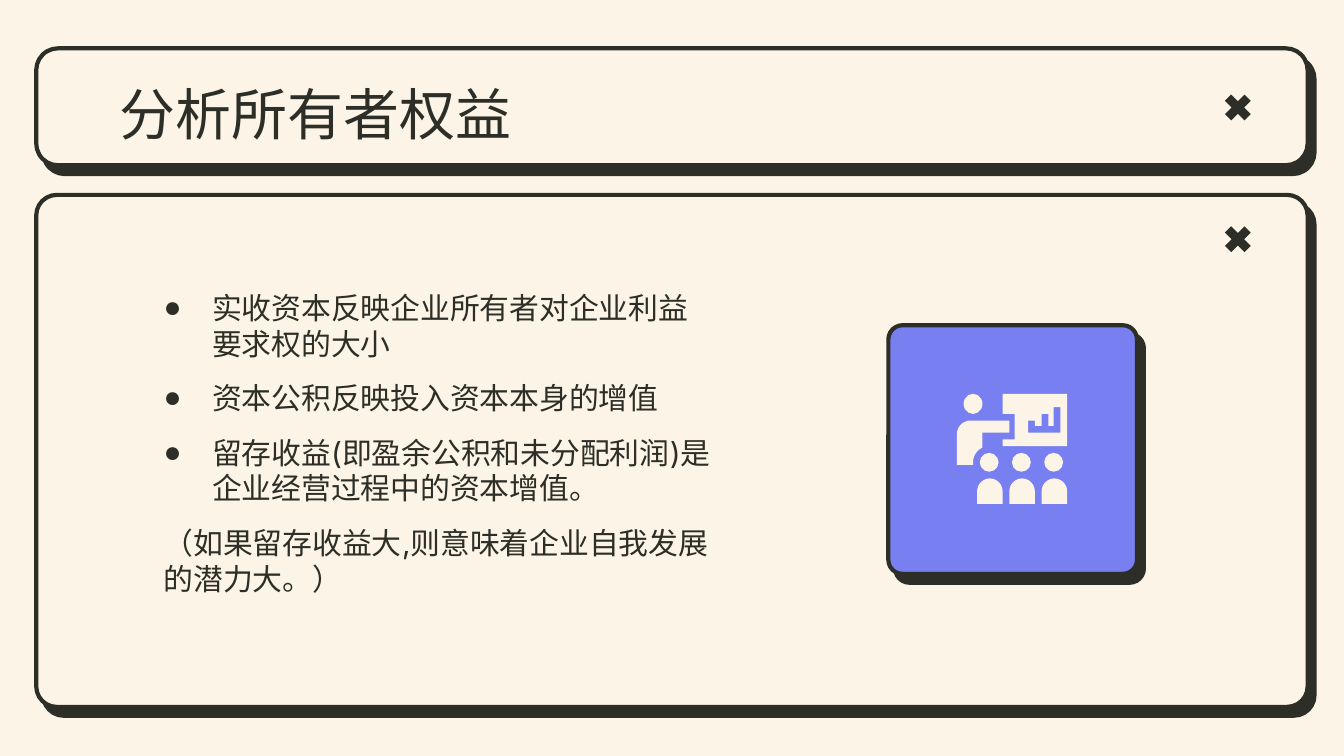
import math
from lxml import etree
from pptx import Presentation
from pptx import util as u
from pptx.dml.color import RGBColor
from pptx.enum import shapes, text
from pptx.oxml.ns import qn

Inches = u.Inches
DARK, CREAM, VIOLET = "2D2E27", "FCF4E6", "787FF0"


def paint(fmt, color):
    fmt.solid()
    fmt.fore_color.rgb = RGBColor.from_string(color)


def add_run(p, words, font, size):
    r = p.add_run()
    r.text = words
    r.font.name = font
    r.font.size = u.Pt(size)
    paint(r.font.fill, DARK)
    for tag in ("a:ea", "a:cs"):
        etree.SubElement(r.font._element, qn(tag), typeface=font)


# 16:9 page
prs = Presentation()
prs.slide_width, prs.slide_height = Inches(10), Inches(10 * 9 / 16)
s = prs.slides.add_slide(prs.slide_layouts[6])
paint(s.background.fill, CREAM)

# Title bar, body panel and icon tile, each with a hard shadow
for x, y, w, h, adj, color in [
    (0.27, 0.36, 9.46, 0.87, 0.186, CREAM),
    (0.27, 1.45, 9.46, 3.81, 0.04, CREAM),
    (6.61, 2.42, 1.85, 1.85, 0.057, VIOLET),
]:
    sp = s.shapes.add_shape(shapes.MSO_SHAPE.ROUNDED_RECTANGLE,
                            Inches(x), Inches(y), Inches(w), Inches(h))
    sp.adjustments[0] = adj
    paint(sp.fill, color)
    paint(sp.line.fill, DARK)
    sp.line.width = u.Pt(2.25)
    sp.shadow.inherit = False
    effects = sp._element.spPr.find(qn("a:effectLst"))
    shadow = etree.SubElement(effects, qn("a:outerShdw"), blurRad="0",
                              dist=str(u.Pt(6)), dir=str(52 * 60000),
                              algn="bl", rotWithShape="0")
    etree.SubElement(shadow, qn("a:srgbClr"), val=DARK)

# Close marks
for y in (0.66, 1.64):
    sp = s.shapes.add_shape(shapes.MSO_SHAPE.MATH_MULTIPLY,
                            Inches(9.07), Inches(y), Inches(0.28), Inches(0.28))
    sp.adjustments[0] = 0.235
    paint(sp.fill, DARK)
    sp.line.fill.background()
    sp.shadow.inherit = False

# Text boxes
frames = []
for x, y, w, h, anchor in [
    (0.79, 0.49, 8.43, 0.63, text.MSO_ANCHOR.TOP),
    (0.98, 1.64, 4.44, 3.31, text.MSO_ANCHOR.MIDDLE),
]:
    tf = s.shapes.add_textbox(Inches(x), Inches(y), Inches(w), Inches(h)).text_frame
    tf.word_wrap = True
    tf.vertical_anchor = anchor
    tf.margin_left = tf.margin_right = tf.margin_top = tf.margin_bottom = Inches(0.1)
    frames.append(tf)
title, body = frames
add_run(title.paragraphs[0], "分析所有者权益", "Quicksand", 30)

# Bulleted points and closing remark
for i, (words, bulleted) in enumerate([
    ("实收资本反映企业所有者对企业利益要求权的大小", True),
    ("资本公积反映投入资本本身的增值", True),
    ("留存收益(即盈余公积和未分配利润)是企业经营过程中的资本增值。", True),
    ("（如果留存收益大,则意味着企业自我发展的潜力大。）", False),
]):
    p = body.add_paragraph() if i else body.paragraphs[0]
    p.space_before = u.Pt(10)
    pPr = p._p.get_or_add_pPr()
    pPr.set("marL", str(Inches(0.5 if bulleted else 0.14)))
    pPr.set("indent", str(Inches(-0.36 if bulleted else 0)))
    if bulleted:
        etree.SubElement(etree.SubElement(pPr, qn("a:buClr")), qn("a:srgbClr"), val=DARK)
        etree.SubElement(pPr, qn("a:buFont"), typeface="Arial")
        etree.SubElement(pPr, qn("a:buChar"), char="●")
    add_run(p, words, "Inter", 16)

# Classroom icon: teacher's head, then three pupils
icon = s.shapes.add_group_shape()
OVAL, BUST = shapes.MSO_SHAPE.OVAL, shapes.MSO_SHAPE.ROUND_2_SAME_RECTANGLE
parts = [(OVAL, 7.17, 2.93, 0.14, 0.15)]
for i in range(3):
    x = 7.27 + 0.24 * i
    parts += [(BUST, x, 3.56, 0.19, 0.19), (OVAL, x + 0.02, 3.37, 0.14, 0.14)]
for kind, x, y, w, h in parts:
    sp = icon.shapes.add_shape(kind, Inches(x), Inches(y), Inches(w), Inches(h))
    if kind == BUST:
        sp.adjustments[0] = 0.5
    paint(sp.fill, CREAM)
    sp.line.fill.background()
    sp.shadow.inherit = False

# Board with a chart cut-out, and the teacher's body with rounded shoulder
board = [(7.46, 2.93), (7.46, 3.08), (7.55, 3.08), (7.55, 3.27),
         (7.46, 3.27), (7.46, 3.32), (7.94, 3.32), (7.94, 2.93)]
chart = [(7.89, 3.03), (7.89, 3.22), (7.65, 3.22), (7.65, 3.13), (7.7, 3.13),
         (7.7, 3.17), (7.75, 3.17), (7.75, 3.08), (7.8, 3.08), (7.8, 3.17),
         (7.84, 3.17), (7.84, 3.03)]
turns = [math.radians(a) for a in range(0, 91, 10)]
shoulder = [(7.22 - 0.1 * math.sin(a), 3.23 - 0.1 * math.cos(a)) for a in turns]
hollow = [(7.36 - 0.12 * math.cos(a), 3.44 - 0.12 * math.sin(a))
          for a in turns if a < math.radians(65)]
teacher = shoulder + [(7.12, 3.46), (7.24, 3.46)] + hollow + [
    (7.31, 3.33), (7.31, 3.22), (7.51, 3.22), (7.51, 3.13)]
for outlines in ([chart, board], [teacher]):
    outlines = [[(Inches(x), Inches(y)) for x, y in o] for o in outlines]
    fb = icon.shapes.build_freeform(*outlines[0][0])
    for i, points in enumerate(outlines):
        if i:
            fb.move_to(*points[0])
        fb.add_line_segments(points[1:], close=True)
    sp = fb.convert_to_shape()
    paint(sp.fill, CREAM)
    sp.line.fill.background()
    sp.shadow.inherit = False

prs.save("out.pptx")
